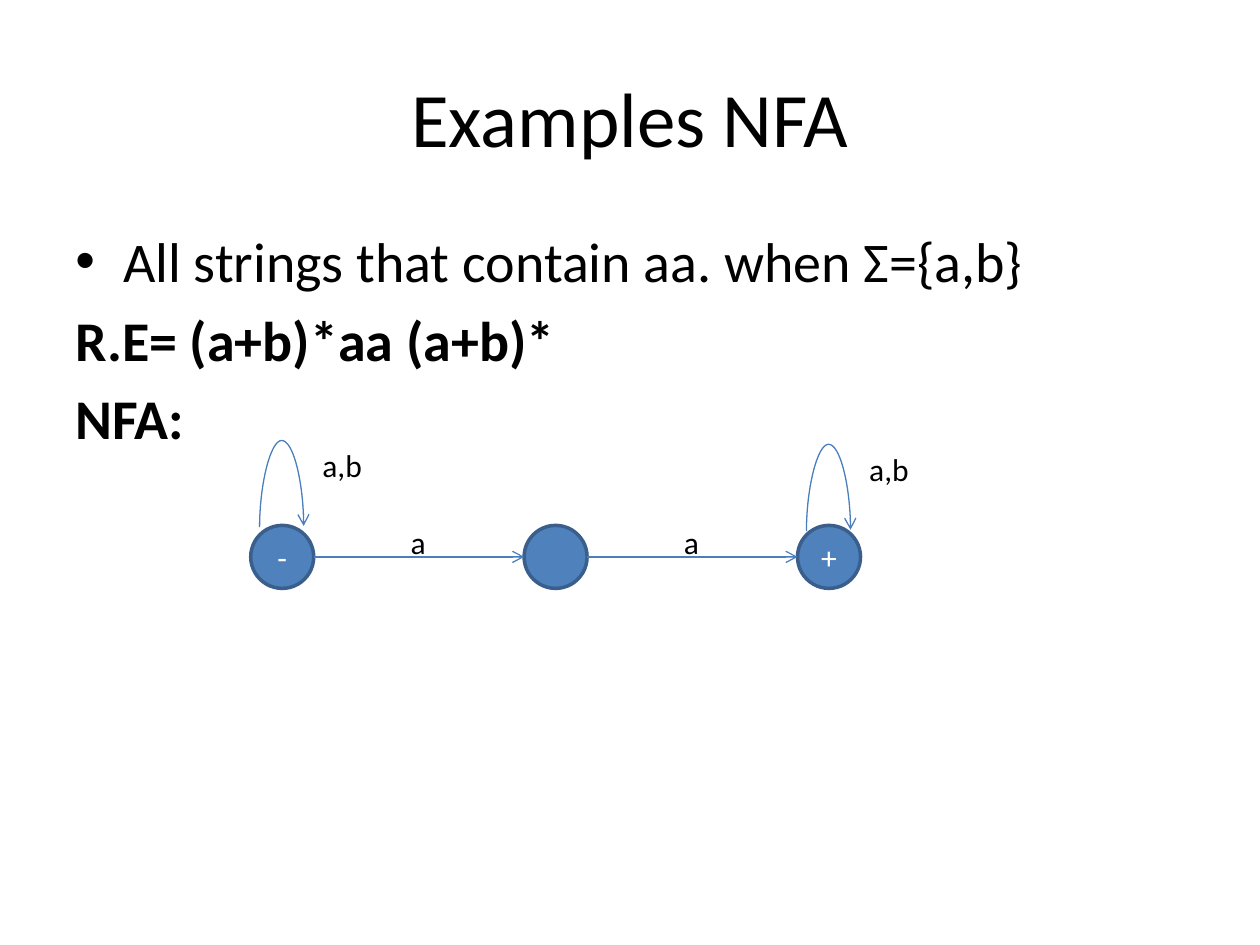
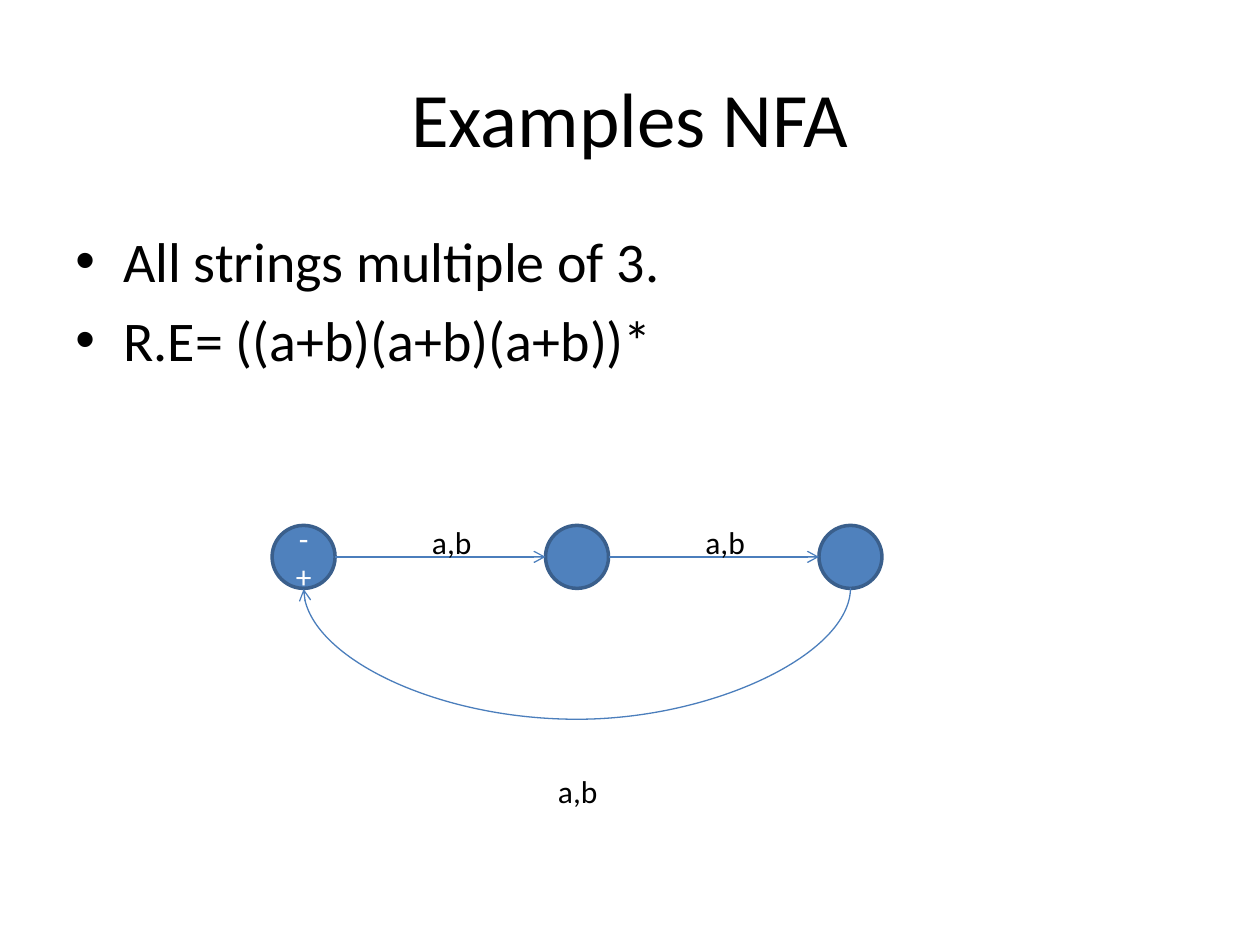
from lxml.etree import SubElement as Sub
from pptx import Presentation
from pptx.dml.color import RGBColor
from pptx.enum.shapes import MSO_CONNECTOR as Link, MSO_SHAPE as Form
from pptx.enum.text import MSO_ANCHOR as Anchor, PP_ALIGN as Align
from pptx.oxml.ns import qn
from pptx.util import Inches, Pt

FONT = "Calibri"
BLACK, WHITE = "000000", "FFFFFF"
BLUE, EDGE, WIRE = "4F81BD", "3A5F8C", "4B7EBC"
SIZE, STEP = 0.5, 2.17      # state diameter, distance between states
TOP = 4.17                  # top of the row of states
MID = TOP + SIZE / 2


def color(code):
    """Turn a hex string into a colour."""
    return RGBColor.from_string(code)


class Deck:
    """Holds the style and the current slide."""

    def __init__(self):
        self.prs = Presentation()
        self.prs.slide_width = Inches(10)
        self.prs.slide_height = Inches(7.5)

    def page(self, title):
        """Start a slide with a centred title."""
        self.slide = self.prs.slides.add_slide(self.prs.slide_layouts[6])
        frame = self.box(0.5, 0.3, 9, 1.25)
        frame.vertical_anchor = Anchor.MIDDLE
        self.put(frame, [title], 44, align=Align.CENTER)

    def box(self, x, y, w, h):
        """Add a wrapping text box and return its frame."""
        spot = [Inches(v) for v in (x, y, w, h)]
        frame = self.slide.shapes.add_textbox(*spot).text_frame
        frame.word_wrap = True
        return frame

    def put(self, frame, lines, size, code=BLACK, align=Align.LEFT):
        """Fill a frame with one paragraph per line."""
        frame.text = "\n".join(lines)
        for para in frame.paragraphs:
            para.alignment = align
            font = para.font
            font.name, font.size = FONT, Pt(size)
            font.color.rgb = color(code)

    def body(self, points, plain=()):
        """Add bulleted points, then plain bold lines."""
        frame = self.box(0.5, 1.75, 9, 5.5)
        self.put(frame, [*points, *plain], 32)
        for i, para in enumerate(frame.paragraphs):
            para.space_before = Pt(6.4)
            if i < len(points):
                self.bullet(para)
            else:
                para.font.bold = True

    def bullet(self, para):
        """Give a paragraph a bullet and a hanging indent."""
        props = para._p.get_or_add_pPr()
        props.set("marL", str(Inches(0.38)))
        props.set("indent", str(Inches(-0.38)))
        rest = props.find(qn("a:defRPr"))
        for tag, key, value in (("a:buFont", "typeface", "Arial"),
                                ("a:buChar", "char", "•")):
            rest.addprevious(props.makeelement(qn(tag), {key: value}))

    def label(self, x, y, text):
        """Add the letters that belong to an edge."""
        self.put(self.box(x, y, 0.62, 0.4), [text], 18)

    def state(self, x, signs):
        """Draw a state with its start and end signs."""
        dot = self.slide.shapes.add_shape(
            Form.OVAL, Inches(x), Inches(TOP), Inches(SIZE), Inches(SIZE))
        dot.shadow.inherit = False
        dot.fill.solid()
        dot.fill.fore_color.rgb = color(BLUE)
        dot.line.color.rgb = color(EDGE)
        dot.line.width = Pt(2)
        if signs:
            dot.text_frame.vertical_anchor = Anchor.MIDDLE
            self.put(dot.text_frame, signs, 18, WHITE, Align.CENTER)

    def arrow(self, kind, x1, y1, x2, y2):
        """Draw a connector with an open arrowhead at its end."""
        edge = self.slide.shapes.add_connector(
            kind, *[Inches(v) for v in (x1, y1, x2, y2)])
        edge.line.color.rgb = color(WIRE)
        edge.line.width = Pt(0.75)
        props = edge._element.spPr
        Sub(props.find(qn("a:ln")), qn("a:tailEnd"), type="arrow")
        Sub(props, qn("a:effectLst"))
        return edge

    def bow(self, x1, x2, y, depth):
        """Draw a curved edge: above y going right, below going left."""
        thin = 0.01
        mid, turn = (x1 + x2) / 2, 1 if x1 > x2 else -1
        dx, dy = turn * thin / 2, (x1 - x2) / 2
        edge = self.arrow(Link.CURVE, mid - dx, y - dy, mid + dx, y + dy)
        props = edge._element.spPr
        props.find(qn("a:xfrm")).set("rot", str(90 * 60000))
        bend = round(depth / thin * 100000)
        Sub(props.find(qn("a:prstGeom")).find(qn("a:avLst")), qn("a:gd"),
            name="adj1", fmla=f"val {bend}")

    def chain(self, left, states, text):
        """Draw a row of states joined by labelled arrows."""
        for i, signs in enumerate(states):
            x = left + i * STEP
            self.state(x, signs)
            if i:
                self.arrow(Link.STRAIGHT, x - STEP + SIZE, MID, x, MID)
                self.label(x - 1, 4.1, text)

    def loop(self, x, y, text):
        """Draw a labelled loop on top of the state at x."""
        self.bow(x + 0.07, x + 0.42, y, 0.7)
        self.label(x + 0.47, y - 0.69, text)


deck = Deck()

deck.page("Examples NFA")
deck.body(["All strings that contain aa. when Σ={a,b}"],
          ["R.E= (a+b)*aa (a+b)*", "NFA:"])
left = 1.99
deck.chain(left, ["-", "", "+"], "a")
deck.loop(left, 4.18, "a,b")
deck.loop(left + 2 * STEP, 4.21, "a,b")

deck.page("Examples NFA")
deck.body(["All strings multiple of 3.", "R.E= ((a+b)(a+b)(a+b))*"])
left = 2.16
deck.chain(left, ["-+", "", ""], "a,b")
start = left + SIZE / 2
deck.bow(start + 2 * STEP, start, TOP + SIZE, 1.06)
deck.label(left + STEP, 6.08, "a,b")

deck.prs.save("out.pptx")
